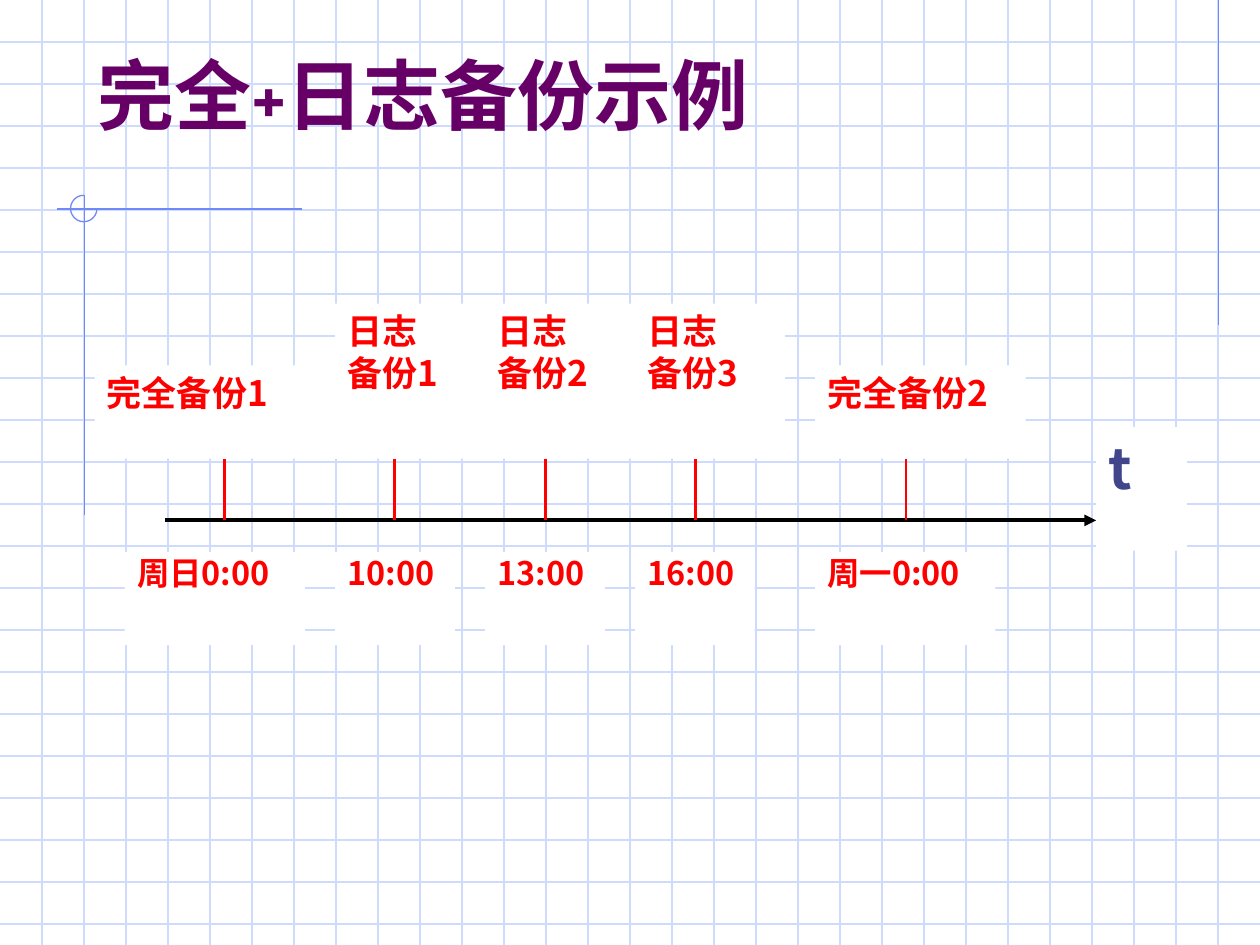
from lxml import etree
from pptx import Presentation
from pptx.dml.color import RGBColor
from pptx.enum import shapes, text
from pptx.oxml.ns import qn
from pptx.util import Inches, Pt

WHITE = RGBColor(0xFF, 0xFF, 0xFF)
BLACK = RGBColor(0x00, 0x00, 0x00)
RED = RGBColor(0xFF, 0x00, 0x00)
PURPLE = RGBColor(0x66, 0x00, 0x66)
INDIGO = RGBColor(0x40, 0x45, 0x8C)
GRID_BLUE = RGBColor(0xCF, 0xDB, 0xFD)
ACCENT_BLUE = RGBColor(0x6F, 0x89, 0xF7)

CJK_FONT = "Noto Sans CJK SC"
TITLE_FONT = "Cabin"
SLIDE_WIDTH, SLIDE_HEIGHT = 10, 7.5
GRID_PER_INCH = 3
LABEL_BOTTOM, AXIS_Y, TIME_TOP = 3.64, 4.13, 4.38
BOX_HEIGHT = 0.74

# Left edge, tick position, label lines, label top, label width, time, time width
EVENTS = [
    (0.75, 1.78, ["完全备份1"], 2.9, 2.15, 0.99, "周日0:00", 1.43),
    (2.66, 3.13, ["日志", "备份1"], 2.41, 1.19, 2.66, "10:00", 0.95),
    (3.85, 4.33, ["日志", "备份2"], 2.41, 1.19, 3.85, "13:00", 0.95),
    (5.04, 5.52, ["日志", "备份3"], 2.41, 1.19, 5.04, "16:00", 0.95),
    (6.47, 7.19, ["完全备份2"], 2.9, 1.67, 6.47, "周一0:00", 1.43),
]


def set_font(paragraph, name, size, color):
    font = paragraph.font
    font.name, font.size, font.bold = name, Pt(size), True
    font.color.rgb = color
    properties = paragraph._p.get_or_add_pPr().find(qn("a:defRPr"))
    etree.SubElement(properties, qn("a:ea")).set("typeface", CJK_FONT)


def add_line(group, start, end, color, width, arrow=False):
    points = [Inches(value) for value in (*start, *end)]
    line = group.shapes.add_connector(shapes.MSO_CONNECTOR.STRAIGHT, *points)
    line.line.color.rgb = color
    line.line.width = Pt(width)
    if arrow:
        outline = line.line._get_or_add_ln()
        etree.SubElement(outline, qn("a:tailEnd")).set("type", "triangle")
    etree.SubElement(line._element.spPr, qn("a:effectLst"))


def add_label(group, left, top, width, height, lines, size, color=RED, spacing=None):
    box = group.shapes.add_shape(
        shapes.MSO_SHAPE.RECTANGLE,
        Inches(left), Inches(top), Inches(width), Inches(height))
    box.shadow.inherit = False
    box.fill.solid()
    box.fill.fore_color.rgb = WHITE
    box.line.fill.background()
    frame = box.text_frame
    frame.word_wrap = True
    frame.vertical_anchor = text.MSO_ANCHOR.TOP
    frame.text = "\n".join(lines)
    for paragraph in frame.paragraphs:
        paragraph.alignment = text.PP_ALIGN.JUSTIFY
        if spacing:
            paragraph.line_spacing = spacing
        set_font(paragraph, CJK_FONT, size, color)


def add_background(slide):
    group = slide.shapes.add_group_shape()
    # Square grid
    for row in range(1, int(SLIDE_HEIGHT * GRID_PER_INCH) + 1):
        y = row / GRID_PER_INCH
        add_line(group, (0, y), (SLIDE_WIDTH, y), GRID_BLUE, 0.75)
    for column in range(1, SLIDE_WIDTH * GRID_PER_INCH):
        x = column / GRID_PER_INCH
        add_line(group, (x, 0), (x, SLIDE_HEIGHT), GRID_BLUE, 0.75)
    # Accent lines and three-quarter circle
    add_line(group, (9.67, 0), (9.67, 2.58), ACCENT_BLUE, 0.75)
    add_line(group, (2.4, 1.66), (0.45, 1.66), ACCENT_BLUE, 0.75)
    add_line(group, (0.67, 1.55), (0.67, 4.09), ACCENT_BLUE, 0.75)
    arc = group.shapes.add_shape(
        shapes.MSO_SHAPE.ARC, Inches(0.56), Inches(1.55), Inches(0.21), Inches(0.21))
    arc.adjustments[0] = 0
    arc.adjustments[1] = 162  # 270 degrees
    arc.shadow.inherit = False
    arc.fill.background()
    arc.line.color.rgb = ACCENT_BLUE
    arc.line.width = Pt(0.75)


def add_title(slide):
    title = slide.shapes.title
    title.left, title.top = Inches(0.67), Inches(0.33)
    title.width, title.height = Inches(8.5), Inches(0.83)
    frame = title.text_frame
    frame.text = "完全+日志备份示例"
    frame.auto_size = text.MSO_AUTO_SIZE.NONE
    frame.vertical_anchor = text.MSO_ANCHOR.BOTTOM
    frame.paragraphs[0].alignment = text.PP_ALIGN.LEFT
    set_font(frame.paragraphs[0], TITLE_FONT, 44, PURPLE)
    # Bring the title in front of the grid
    slide.shapes.element.append(title.element)


def add_timeline(slide):
    group = slide.shapes.add_group_shape()
    add_line(group, (1.31, AXIS_Y), (8.7, AXIS_Y), BLACK, 2.25, arrow=True)
    add_label(group, 8.7, 3.39, 0.72, 0.98, ["t"], 32, INDIGO)
    for left, tick, lines, top, width, time_left, time, time_width in EVENTS:
        add_line(group, (tick, LABEL_BOTTOM), (tick, AXIS_Y), RED, 1.5)
        add_label(group, left, top, width, LABEL_BOTTOM - top, lines, 20)
        add_label(group, time_left, TIME_TOP, time_width, BOX_HEIGHT, [time], 18.5,
                  spacing=0.9)


def main():
    presentation = Presentation()
    presentation.slide_width = Inches(SLIDE_WIDTH)
    presentation.slide_height = Inches(SLIDE_HEIGHT)
    slide = presentation.slides.add_slide(presentation.slide_layouts[5])
    slide.background.fill.solid()
    slide.background.fill.fore_color.rgb = WHITE
    add_background(slide)
    add_title(slide)
    add_timeline(slide)
    presentation.save("out.pptx")


if __name__ == "__main__":
    main()
